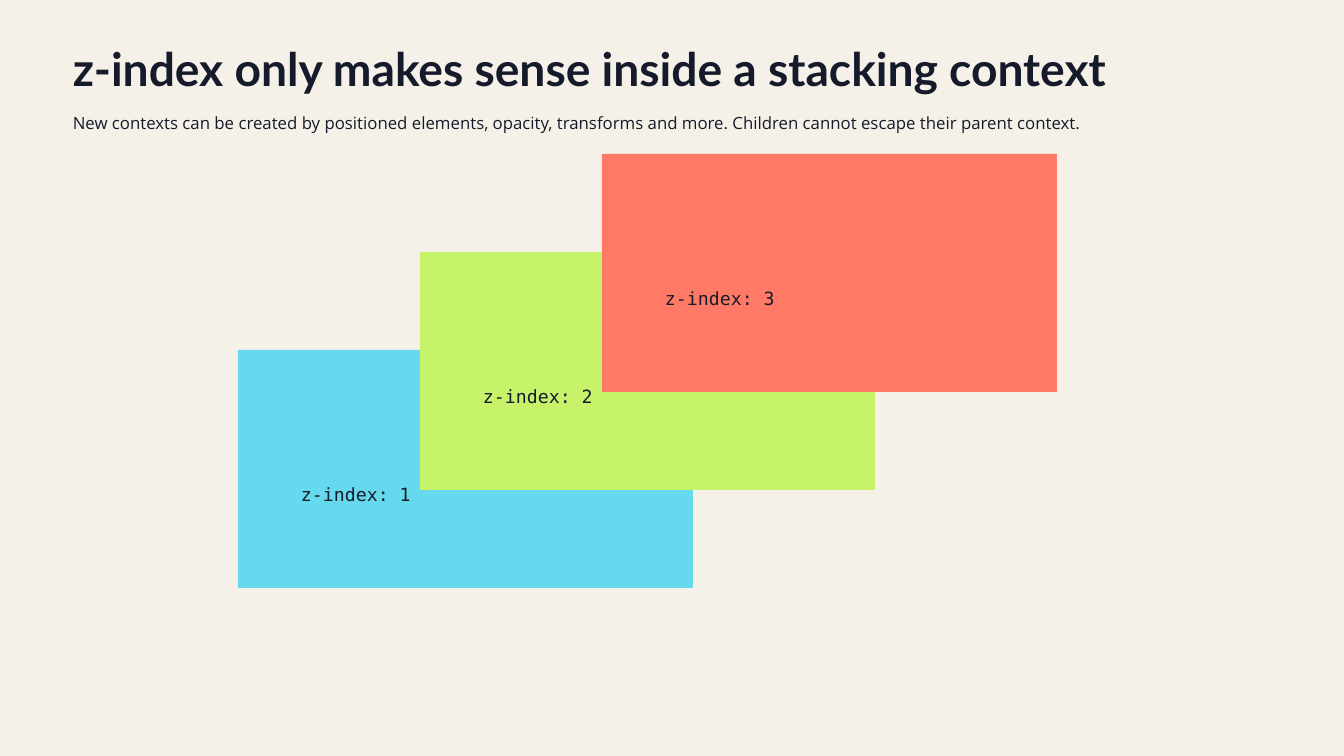
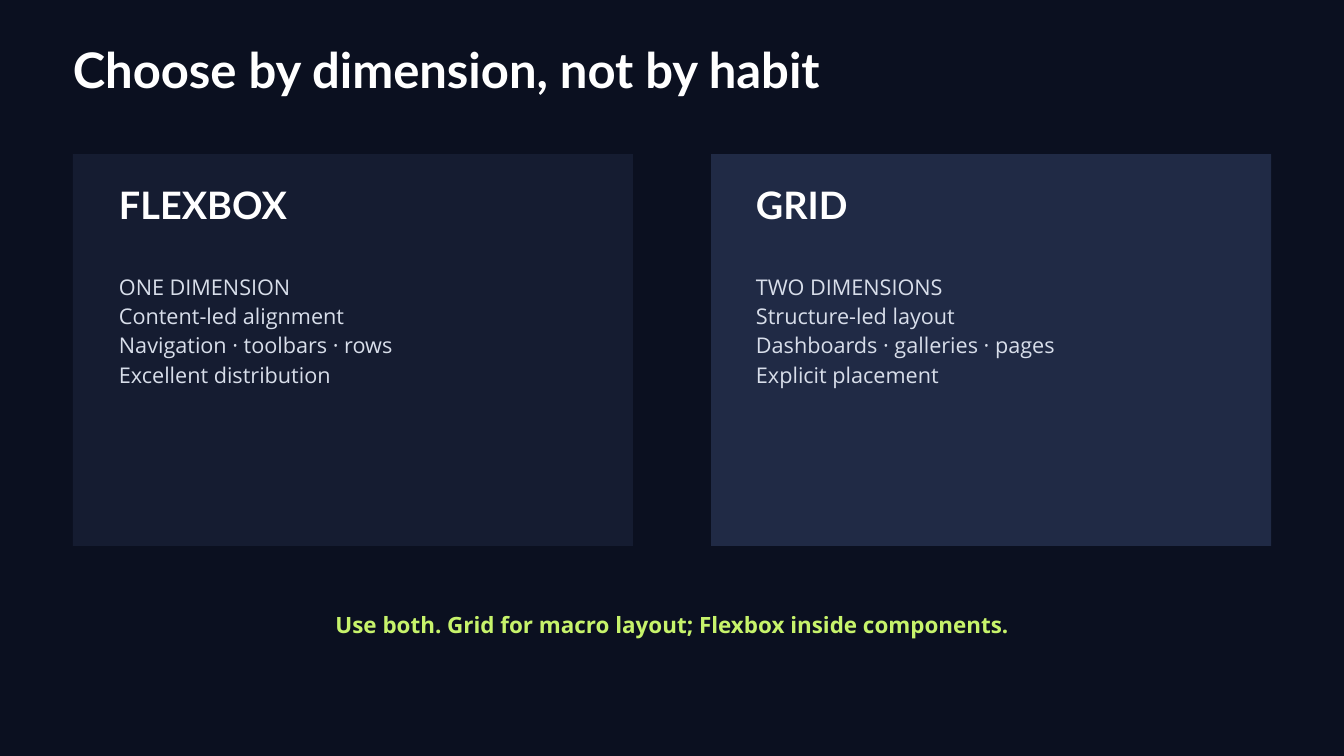
"""Build two slides on CSS stacking contexts and layout choice."""
from pptx import Presentation, util as u
from pptx.dml.color import RGBColor
from pptx.enum import shapes, text

PX = 9525
LEFT, TOP = 104, 220
HEAD, BODY, CODE = "Lato", "Open Sans", "DejaVu Sans Mono"
COLORS = {
    "cream": "F5F1E8", "ink": "151B2B", "cyan": "66D9EF", "lime": "C7F36B",
    "coral": "FF7A66", "night": "0B1020", "navy": "151C31", "slate": "202A45",
    "white": "FFFFFF", "mist": "D8DEEA",
}


def rgb(name):
    """Return the named colour."""
    return RGBColor.from_string(COLORS[name])


def scale(*box):
    """Turn px lengths into EMU."""
    return [u.Emu(n * PX) for n in box]


def write(shape, lines, font, size, lead, color, bold=False, align=text.PP_ALIGN.LEFT):
    """Fill a shape with lines of text in one style."""
    frame = shape.text_frame
    frame.margin_left = frame.margin_right = frame.margin_top = frame.margin_bottom = 0
    frame.word_wrap = True
    frame.vertical_anchor = text.MSO_ANCHOR.TOP
    frame.auto_size = text.MSO_AUTO_SIZE.SHAPE_TO_FIT_TEXT
    frame.text = "\n".join(lines)
    for para in frame.paragraphs:
        para.alignment = align
        para.line_spacing = u.Pt(lead)
        para.font.name = font
        para.font.size = u.Pt(size)
        para.font.bold = bold
        para.font.color.rgb = rgb(color)


def add_text(slide, box, lines, *style, **more):
    """Add a text box."""
    write(slide.shapes.add_textbox(*scale(*box)), lines, *style, **more)


def add_block(slide, box, color):
    """Add a plain filled rectangle."""
    block = slide.shapes.add_shape(shapes.MSO_SHAPE.RECTANGLE, *scale(*box))
    block.shadow.inherit = False
    block.fill.solid()
    block.fill.fore_color.rgb = rgb(color)
    block.line.fill.background()


def add_slide(deck, back, title, box, size, color):
    """Add a slide with its background and title."""
    slide = deck.slides.add_slide(deck.slide_layouts[5])
    slide.background.fill.solid()
    slide.background.fill.fore_color.rgb = rgb(back)
    head = slide.shapes.title
    head.left, head.top, head.width, head.height = scale(*box)
    write(head, [title], HEAD, size, size + 1, color, bold=True)
    return slide


def add_stack(deck):
    """Add the slide of overlapping layers."""
    slide = add_slide(deck, "cream", "z-index only makes sense inside a stacking context",
                      (LEFT, 69, 1650, 80), 49.5, "ink")
    add_text(slide, (LEFT, 158, 1500, 31),
             ["New contexts can be created by positioned elements, opacity, transforms "
              "and more. Children cannot escape their parent context."],
             BODY, 18, 24.3, "ink")
    layers = [(340 + 260 * i, 500 - 140 * i) for i in range(3)]
    for (x, y), color in zip(layers, ("cyan", "lime", "coral")):
        add_block(slide, (x, y, 650, 340), color)
    for i, (x, y) in enumerate(layers, 1):
        add_text(slide, (x + 90, y + 187, 260, 35), [f"z-index: {i}"],
                 CODE, 19.5, 26.3, "ink")


def add_choice(deck):
    """Add the slide that compares two layout models."""
    slide = add_slide(deck, "night", "Choose by dimension, not by habit",
                      (LEFT, 69, 1500, 84), 52.5, "white")
    cards = [
        (LEFT, 170, "navy", "FLEXBOX",
         ["ONE DIMENSION", "Content-led alignment",
          "Navigation · toolbars · rows", "Excellent distribution"]),
        (1016, 1080, "slate", "GRID",
         ["TWO DIMENSIONS", "Structure-led layout",
          "Dashboards · galleries · pages", "Explicit placement"]),
    ]
    for x, inner, color, name, lines in cards:
        add_block(slide, (x, TOP, 800, 560), color)
        add_text(slide, (inner, 269, 650, 65), [name], HEAD, 40.5, 41.3, "white", bold=True)
        add_text(slide, (inner, 386, 650, 163), lines, BODY, 23.2, 31.4, "mist")
    add_text(slide, (340, 866, 1240, 41),
             ["Use both. Grid for macro layout; Flexbox inside components."],
             BODY, 24, 33.6, "lime", bold=True, align=text.PP_ALIGN.CENTER)


def main():
    """Build and save the deck."""
    deck = Presentation()
    deck.slide_width, deck.slide_height = scale(1920, 1080)
    add_stack(deck)
    add_choice(deck)
    deck.save("out.pptx")


if __name__ == "__main__":
    main()
